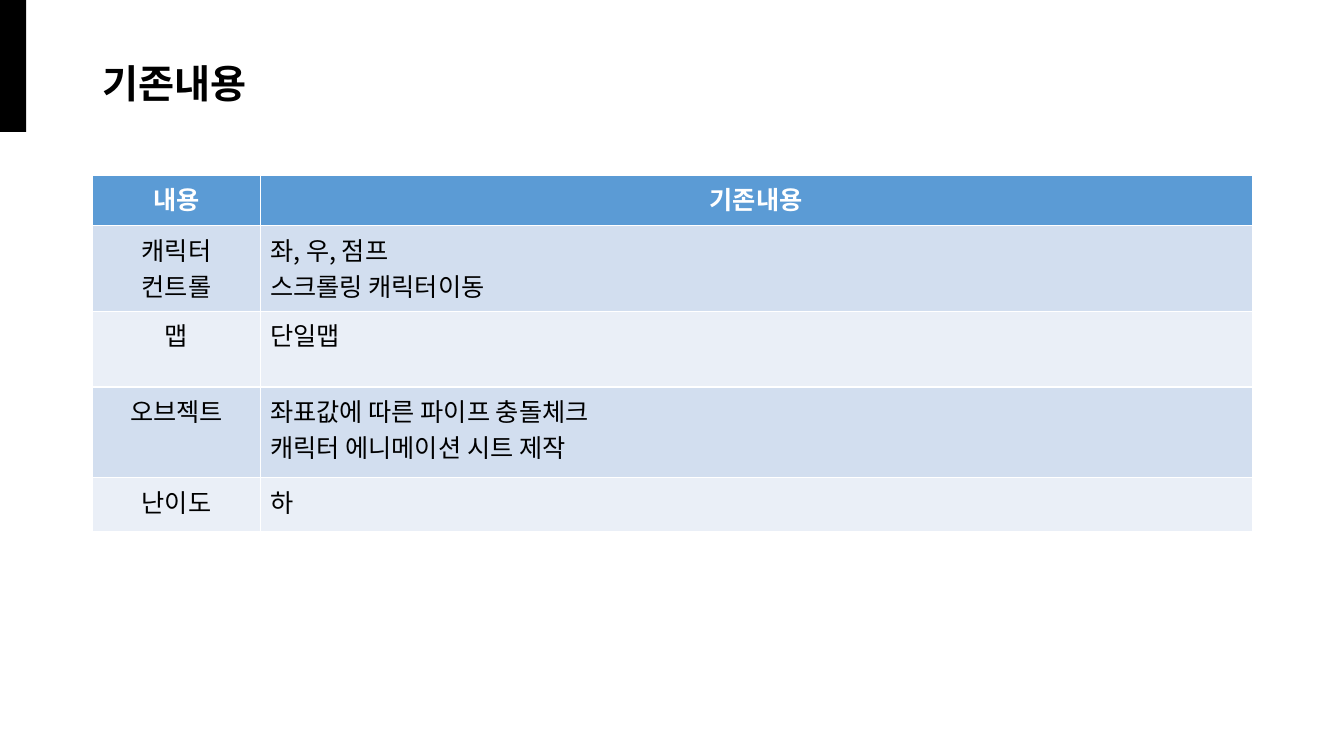
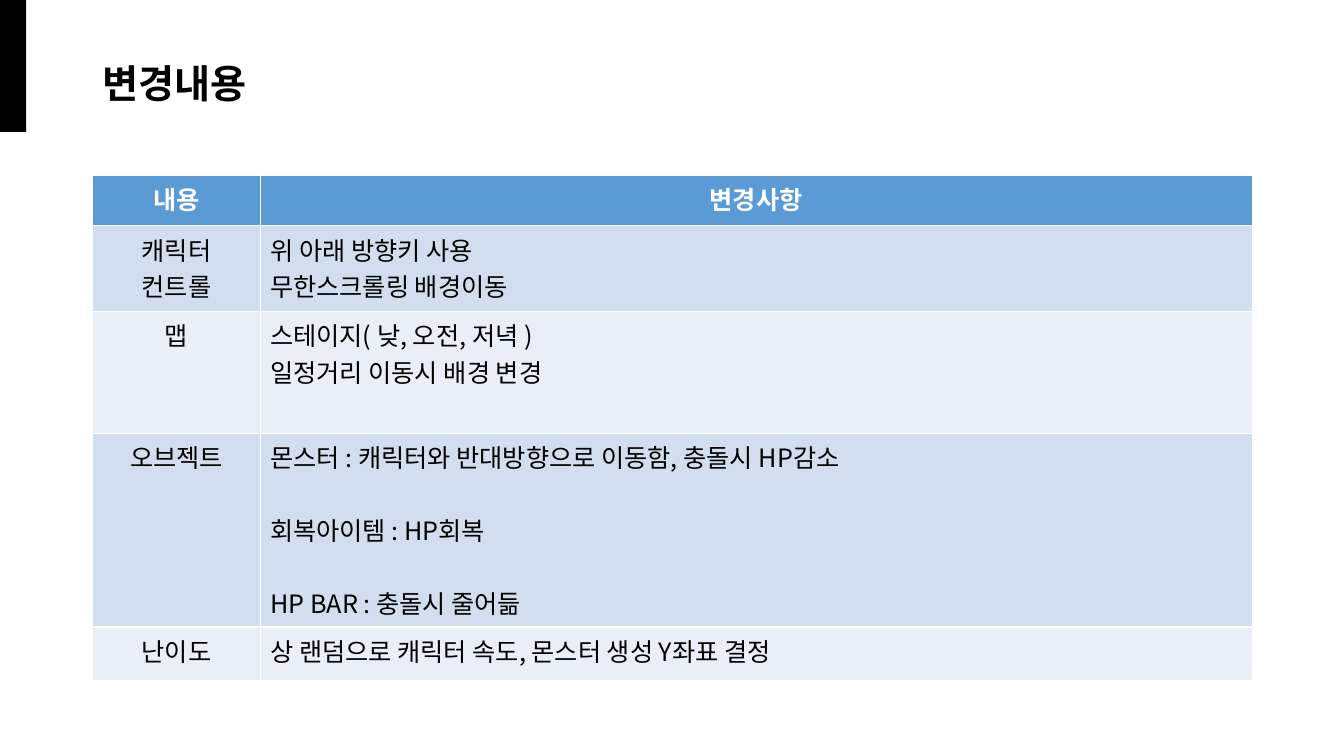
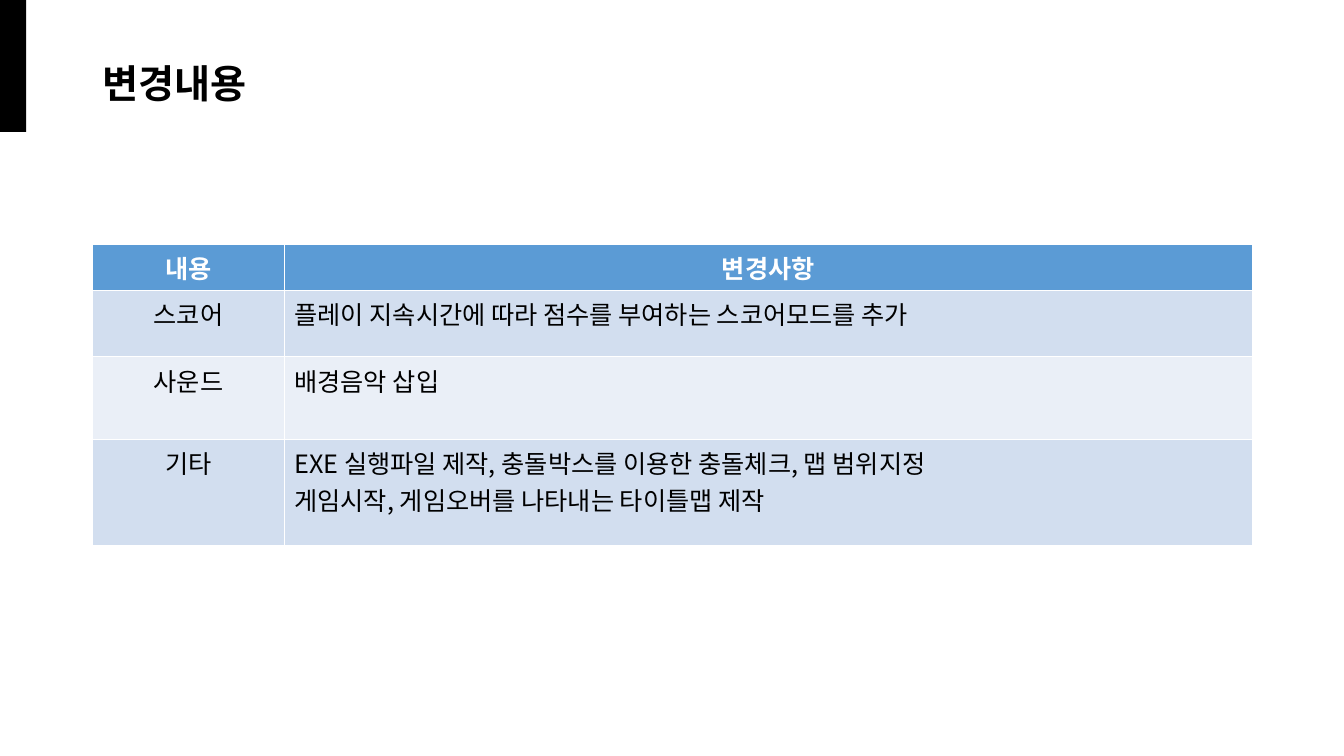
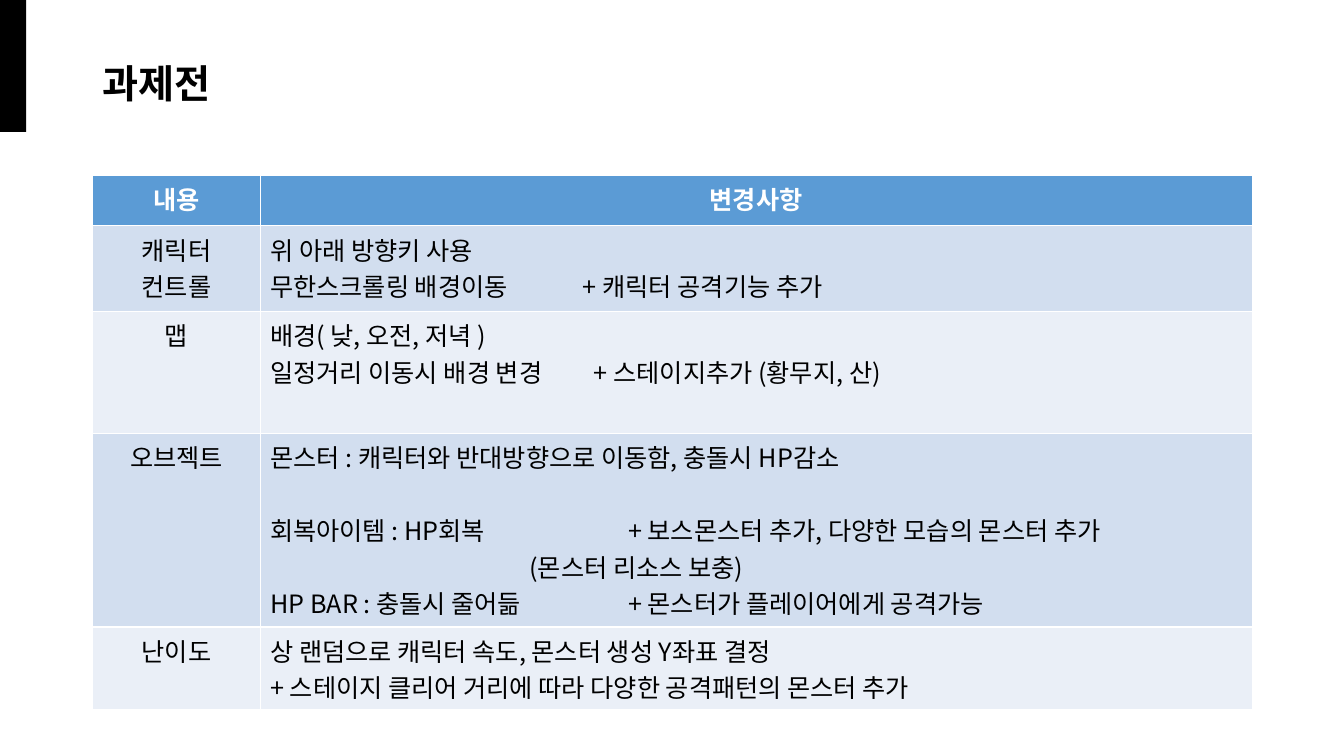
from dataclasses import dataclass

from lxml.etree import SubElement
from pptx import Presentation
from pptx.dml.color import RGBColor
from pptx.enum.shapes import MSO_SHAPE as Shape
from pptx.enum.text import MSO_ANCHOR as Anchor, PP_ALIGN as Align
from pptx.oxml.ns import qn
from pptx.util import Inches, Pt

# Style
FONT = "Noto Sans CJK KR"
BLACK = RGBColor(0x00, 0x00, 0x00)
WHITE = RGBColor(0xFF, 0xFF, 0xFF)
HEADER_BLUE = RGBColor(0x5B, 0x9B, 0xD5)
ROW_FILLS = (RGBColor(0xD2, 0xDE, 0xEF), RGBColor(0xEA, 0xEF, 0xF7))
MARGIN = 0.92
CONTENT_WIDTH = 11.5
LINE_GAP = 26  # points, one text line


@dataclass
class Line:
    """A table line; tab and indent in inches, before in points."""
    text: str
    tab: float = 0
    indent: float = 0
    before: float = 0


class Deck:
    def __init__(self):
        self.presentation = Presentation()
        self.presentation.slide_width = Inches(13.33)
        self.presentation.slide_height = Inches(7.5)
        self.slide = None

    def add_slide(self, title):
        blank = self.presentation.slide_layouts[6]
        self.slide = self.presentation.slides.add_slide(blank)
        self.add_band()
        self.add_title(title)

    def add_band(self):
        band = self.slide.shapes.add_shape(
            Shape.RECTANGLE, 0, 0, Inches(0.26), Inches(1.31))
        band.shadow.inherit = False
        band.fill.solid()
        band.fill.fore_color.rgb = BLACK
        band.line.fill.background()

    def add_title(self, text):
        box = self.slide.shapes.add_textbox(
            Inches(MARGIN), Inches(0.4), Inches(CONTENT_WIDTH), Inches(0.91))
        frame = box.text_frame
        frame.word_wrap = True
        frame.vertical_anchor = Anchor.MIDDLE
        paragraph = frame.paragraphs[0]
        paragraph.line_spacing = 0.9
        self.add_run(paragraph, text, 28, BLACK, True)

    def add_run(self, paragraph, text, size, color, bold):
        run = paragraph.add_run()
        run.text = text
        font = run.font
        font.size, font.bold, font.name = Pt(size), bold, FONT
        font.color.rgb = color
        SubElement(run._r.get_or_add_rPr(), qn("a:ea"), typeface=FONT)

    def add_table(self, top, label_width, row_heights, rows):
        widths = (label_width, CONTENT_WIDTH - label_width)
        table = self.slide.shapes.add_table(
            len(rows), len(widths), Inches(MARGIN), Inches(top),
            Inches(CONTENT_WIDTH), Inches(sum(row_heights))).table
        for column, width in zip(table.columns, widths):
            column.width = Inches(width)
        for index, (height, row) in enumerate(zip(row_heights, rows)):
            table.rows[index].height = Inches(height)
            for column_index, lines in enumerate(row):
                self.fill_cell(table.cell(index, column_index), lines,
                               header=index == 0,
                               centered=index == 0 or column_index == 0,
                               fill=HEADER_BLUE if index == 0
                               else ROW_FILLS[(index - 1) % 2])

    def fill_cell(self, cell, lines, header, centered, fill):
        self.add_borders(cell)
        cell.fill.solid()
        cell.fill.fore_color.rgb = fill
        lines = lines if isinstance(lines, list) else [lines]
        frame = cell.text_frame
        for index, line in enumerate(lines):
            line = line if isinstance(line, Line) else Line(line)
            paragraph = frame.add_paragraph() if index else frame.paragraphs[0]
            paragraph.alignment = Align.CENTER if centered else Align.LEFT
            self.set_gaps(paragraph, line)
            self.add_run(paragraph, line.text, 18,
                         WHITE if header else BLACK, header)

    def set_gaps(self, paragraph, line):
        if line.before:
            paragraph.space_before = Pt(line.before)
        properties = paragraph._p.get_or_add_pPr()
        if line.indent:
            properties.set("marL", str(Inches(line.indent)))
            properties.set("indent", "0")
        if line.tab:
            tabs = SubElement(properties, qn("a:tabLst"))
            SubElement(tabs, qn("a:tab"), pos=str(Inches(line.tab)), algn="l")

    def add_borders(self, cell):
        properties = cell._tc.get_or_add_tcPr()
        for side in "LRTB":
            border = SubElement(properties, qn(f"a:ln{side}"), w=str(Pt(1)))
            fill = SubElement(border, qn("a:solidFill"))
            SubElement(fill, qn("a:srgbClr"), val=str(WHITE))


# Wording used on several slides
CHANGES_HEADER = ("내용", "변경사항")
CONTROL = ["캐릭터", "컨트롤"]
ARROW_KEYS = "위 아래 방향키 사용"
MONSTER = "몬스터 : 캐릭터와 반대방향으로 이동함, 충돌시 HP감소"
RANDOM = "상 랜덤으로 캐릭터 속도, 몬스터 생성 Y좌표 결정"


def main():
    deck = Deck()

    # Existing content
    deck.add_slide("기존내용")
    deck.add_table(1.74, 1.66, (0.5, 0.85, 0.75, 0.9, 0.53), [
        ("내용", "기존내용"),
        (CONTROL, ["좌, 우, 점프", "스크롤링 캐릭터이동"]),
        ("맵", "단일맵"),
        ("오브젝트", ["좌표값에 따른 파이프 충돌체크", "캐릭터 에니메이션 시트 제작"]),
        ("난이도", "하"),
    ])

    # Changes to the game
    deck.add_slide("변경내용")
    deck.add_table(1.74, 1.66, (0.5, 0.85, 1.21, 1.92, 0.53), [
        CHANGES_HEADER,
        (CONTROL, [ARROW_KEYS, "무한스크롤링 배경이동"]),
        ("맵", ["스테이지( 낮, 오전, 저녁 )", "일정거리 이동시 배경 변경"]),
        ("오브젝트", [MONSTER,
                  Line("회복아이템 : HP회복", before=LINE_GAP),
                  Line("HP BAR : 충돌시 줄어듦", before=LINE_GAP)]),
        ("난이도", RANDOM),
    ])

    # Score, sound and the rest
    deck.add_slide("변경내용")
    deck.add_table(2.42, 1.9, (0.46, 0.66, 0.82, 1.05), [
        CHANGES_HEADER,
        ("스코어", "플레이 지속시간에 따라 점수를 부여하는 스코어모드를 추가"),
        ("사운드", "배경음악 삽입"),
        ("기타", ["EXE 실행파일 제작, 충돌박스를 이용한 충돌체크, 맵 범위지정",
                "게임시작, 게임오버를 나타내는 타이틀맵 제작"]),
    ])

    # Additions for the assignment exhibition
    deck.add_slide("과제전")
    deck.add_table(1.74, 1.66, (0.5, 0.85, 1.21, 1.92, 0.82), [
        CHANGES_HEADER,
        (CONTROL, [ARROW_KEYS,
                   Line("무한스크롤링 배경이동\t+ 캐릭터 공격기능 추가", tab=3.1)]),
        ("맵", ["배경( 낮, 오전, 저녁 )",
               Line("일정거리 이동시 배경 변경\t+ 스테이지추가 (황무지, 산)", tab=3.21)]),
        ("오브젝트", [MONSTER,
                  Line("회복아이템 : HP회복\t+ 보스몬스터 추가, 다양한 모습의 몬스터 추가",
                       tab=3.55, before=LINE_GAP),
                  Line("(몬스터 리소스 보충)", indent=2.57),
                  Line("HP BAR : 충돌시 줄어듦\t+ 몬스터가 플레이어에게 공격가능",
                       tab=3.55)]),
        ("난이도", [RANDOM,
                 "+ 스테이지 클리어 거리에 따라 다양한 공격패턴의 몬스터 추가"]),
    ])

    deck.presentation.save("out.pptx")


if __name__ == "__main__":
    main()
